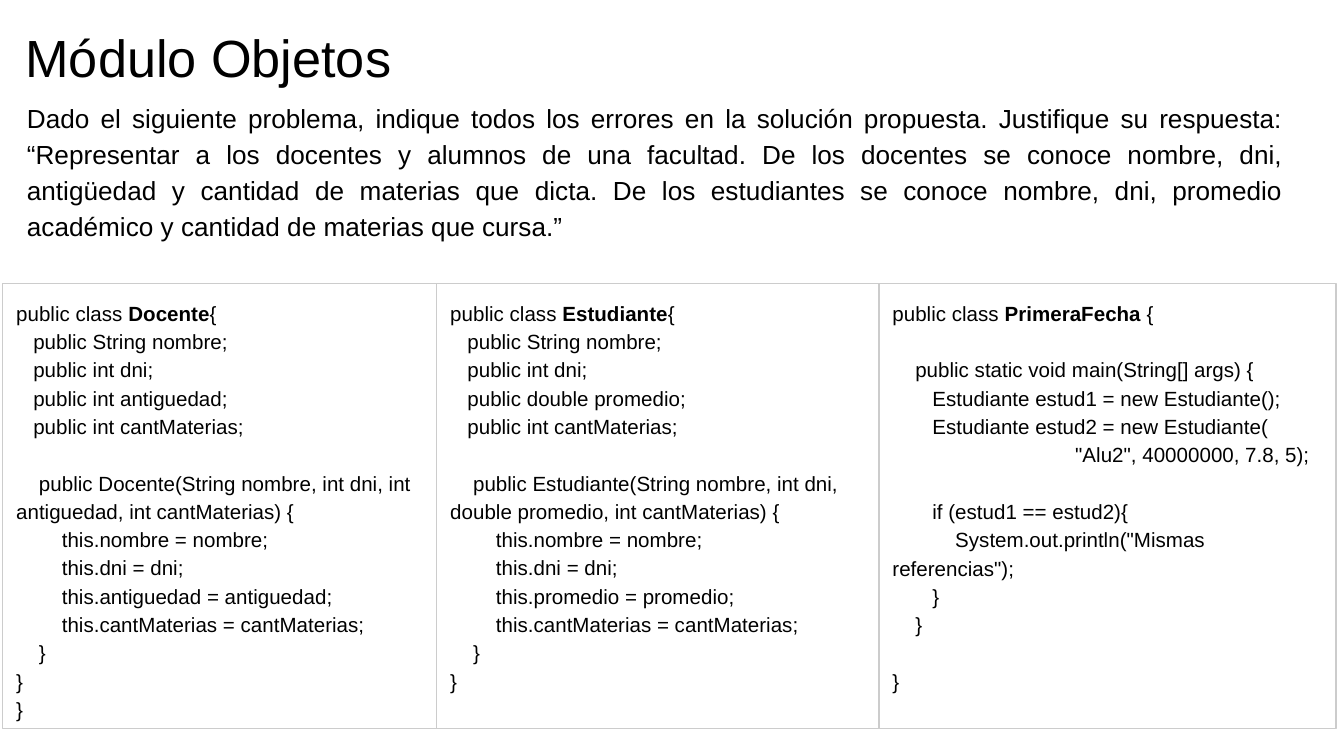
from pptx import Presentation
from pptx.dml.color import RGBColor
from pptx.enum.text import MSO_ANCHOR, MSO_AUTO_SIZE, PP_ALIGN
from pptx.oxml.ns import qn
from pptx.util import Inches, Pt

TOP = MSO_ANCHOR.TOP
FIXED = MSO_AUTO_SIZE.NONE
LEFT, JUST = PP_ALIGN.LEFT, PP_ALIGN.JUSTIFY

COLORS = {"text": "000000", "edge": "CCCCCC"}
FONT = "Arial"
WIDE = 10
HIGH = WIDE * 9 / 16
EDGES = [0.02, 3.25, 6.54, 9.94]  # column borders of the code row
ROW_TOP, ROW_HIGH = 2.11, 3.31
STEP = 3.06   # points per indent unit of code
LINE = 15.2   # points per line of code

TITLE = "Módulo Objetos"
TASK = (
    "Dado el siguiente problema, indique todos los errores en la solución "
    "propuesta. Justifique su respuesta: “Representar a los docentes y alumnos "
    "de una facultad. De los docentes se conoce nombre, dni, antigüedad y "
    "cantidad de materias que dicta. De los estudiantes se conoce nombre, dni, "
    "promedio académico y cantidad de materias que cursa.”"
)

# Code lines: (indent units, blank lines above, text)
MAIN = [
    (4, 1, "public static void main(String[] args) {"),
    (7, 0, "Estudiante estud1 = new Estudiante();"),
    (7, 0, "Estudiante estud2 = new Estudiante("),
    (32, 0, '"Alu2", 40000000, 7.8, 5);'),
    (7, 1, "if (estud1 == estud2){"),
    (11, 0, 'System.out.println("Mismas referencias");'),
    (7, 0, "}"),
    (4, 0, "}"),
    (0, 1, "}"),
]


def color(name):
    return RGBColor.from_string(COLORS[name])


def model(name, kind, field):
    """Code lines of a class with four fields and a constructor."""
    pairs = [("String", "nombre"), ("int", "dni"),
             (kind, field), ("int", "cantMaterias")]
    args = ", ".join(f"{k} {f}" for k, f in pairs)
    return (
        [(3, 0, f"public {k} {f};") for k, f in pairs]
        + [(4, 1, f"public {name}({args}) {{")]
        + [(8, 0, f"this.{f} = {f};") for _, f in pairs]
        + [(4, 0, "}"), (0, 0, "}")]
    )


def place(holder, left, top, width, height):
    """Move a placeholder and give it an empty, plain text frame."""
    holder.left, holder.top = Inches(left), Inches(top)
    holder.width, holder.height = Inches(width), Inches(height)
    frame = holder.text_frame
    frame.auto_size = FIXED
    frame.word_wrap = True
    frame.vertical_anchor = TOP
    frame.margin_left = frame.margin_right = Inches(0.1)
    frame.margin_top = frame.margin_bottom = Inches(0.1)
    return frame


def style(par, indent=0, before=0, space=1.15, align=LEFT):
    par.alignment = align
    par.line_spacing = space
    par.space_before, par.space_after = Pt(before), Pt(0)
    props = par._p.get_or_add_pPr()
    props.set("marL", "0")
    props.set("indent", str(Pt(indent)))
    props.append(props.makeelement(qn("a:buNone"), {}))


def add_run(par, text, size, bold=False):
    run = par.add_run()
    run.text = text
    font = run.font
    font.name, font.size, font.bold = FONT, Pt(size), bold
    font.color.rgb = color("text")


def add_code(holder, col, name, brace, lines):
    """Fill one column of the code row, class name in bold."""
    left, right = EDGES[col:col + 2]
    frame = place(holder, left, ROW_TOP, right - left, ROW_HIGH)
    holder.line.color.rgb = color("edge")
    holder.line.width = Pt(0.75)
    head = frame.paragraphs[0]
    style(head)
    add_run(head, "public class ", 11)
    add_run(head, name, 11, True)
    add_run(head, brace, 11)
    for depth, gap, text in lines:
        par = frame.add_paragraph()
        style(par, depth * STEP, gap * LINE)
        add_run(par, text, 11)


def main():
    deck = Presentation()
    deck.slide_width, deck.slide_height = Inches(WIDE), Inches(HIGH)
    # The comparison layout has a title and four text areas
    slide = deck.slides.add_slide(deck.slide_layouts[4])
    title, task, *cols = slide.placeholders

    # Title
    par = place(title, 0.09, 0.09, 9.32, 0.63).paragraphs[0]
    style(par, space=1)
    add_run(par, TITLE, 28)

    # Task
    par = place(task, 0.1, 0.63, 9.55, 1.19).paragraphs[0]
    style(par, align=JUST)
    add_run(par, TASK, 14)

    # Code columns
    classes = [
        ("Docente", "{", model("Docente", "int", "antiguedad") + [(0, 0, "}")]),
        ("Estudiante", "{", model("Estudiante", "double", "promedio")),
        ("PrimeraFecha", " {", MAIN),
    ]
    for col, (holder, item) in enumerate(zip(cols, classes)):
        add_code(holder, col, *item)

    deck.save("out.pptx")


if __name__ == "__main__":
    main()
